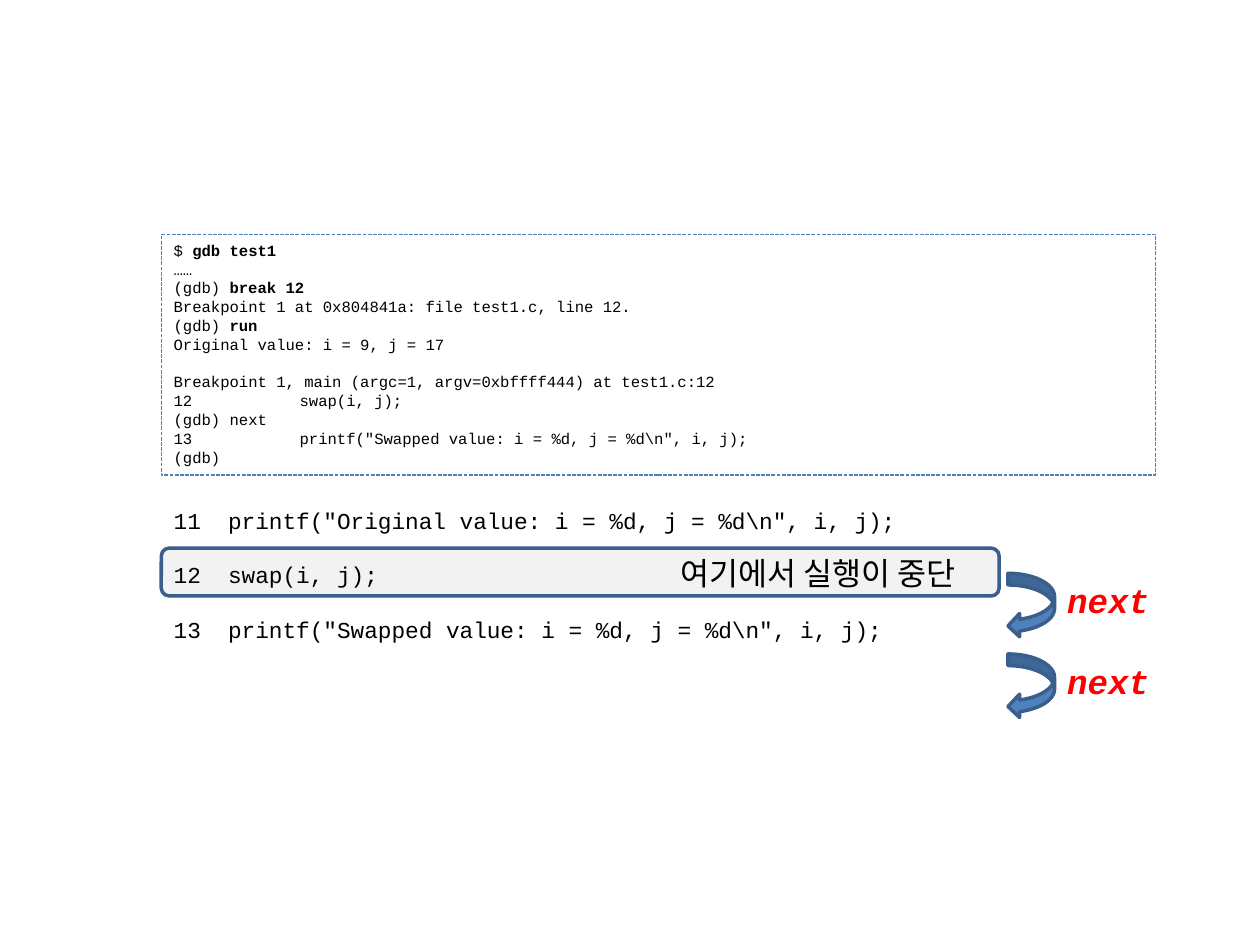
from lxml import etree
from pptx import Presentation
from pptx.dml.color import RGBColor
from pptx.enum import dml, shapes, text
from pptx.oxml.ns import qn
from pptx.util import Inches, Pt

BLACK = RGBColor(0x00, 0x00, 0x00)
RED = RGBColor(0xFF, 0x00, 0x00)
BLUE = RGBColor(0x4F, 0x81, 0xBD)
DARK_BLUE = RGBColor(0x3A, 0x5F, 0x8C)
LIGHT_GRAY = RGBColor(0xF2, 0xF2, 0xF2)
MONO = "Courier New"
KOREAN = "Noto Sans CJK KR"

prs = Presentation()
prs.slide_width, prs.slide_height = Inches(10), Inches(7.5)
slide = prs.slides.add_slide(prs.slide_layouts[6])


def add_box(kind, left, top, width, height, fill, line, weight):
    box = slide.shapes.add_shape(
        kind, Inches(left), Inches(top), Inches(width), Inches(height))
    box.shadow.inherit = False
    if fill is None:
        box.fill.background()
    else:
        box.fill.solid()
        box.fill.fore_color.rgb = fill
    box.line.color.rgb = line
    box.line.width = Pt(weight)
    return box


def write_lines(box, lines, size, pitch=None, color=BLACK, font=MONO, italic=False):
    """Write lines of (text, bold) runs; an empty line becomes space before the next."""
    frame = box.text_frame
    frame.word_wrap = True
    frame.vertical_anchor = text.MSO_ANCHOR.TOP
    paragraph, gap = None, 0
    for line in lines:
        if not line:
            gap += pitch
            continue
        paragraph = frame.add_paragraph() if paragraph else frame.paragraphs[0]
        paragraph.alignment = text.PP_ALIGN.LEFT
        paragraph.space_before = Pt(gap)
        if pitch:
            paragraph.line_spacing = Pt(pitch)
        gap = 0
        for words, bold in line:
            run = paragraph.add_run()
            run.text = words
            run.font.name = font
            run.font.size = Pt(size)
            run.font.bold = bold
            run.font.italic = italic
            run.font.color.rgb = color
            east_asian = etree.SubElement(run.font._element, qn("a:ea"))
            east_asian.set("typeface", font)


add_box(shapes.MSO_SHAPE.ROUNDED_RECTANGLE, 1.28, 4.35, 6.65, 0.38,
        LIGHT_GRAY, DARK_BLUE, 2)

console = add_box(shapes.MSO_SHAPE.RECTANGLE, 1.28, 1.86, 7.89, 1.91, None, BLUE, 0.75)
console.line.dash_style = dml.MSO_LINE.SQUARE_DOT
console.line.dash_style = dml.MSO_LINE.SQUARE_DOT
session = [
    [("$ ", False), ("gdb test1", True)],
    [("……", False)],
    [("(gdb) ", False), ("break 12", True)],
    [("Breakpoint 1 at 0x804841a: file test1.c, line 12.", False)],
    [("(gdb) ", False), ("run", True)],
    [("Original value: i = 9, j = 17", False)],
    [],
    [("Breakpoint 1, main (argc=1, argv=0xbffff444) at test1.c:12", False)],
    [("12\t\tswap(i, j);", False)],
    [("(gdb) next", False)],
    [("13\t\tprintf(\"Swapped value: i = %d, j = %d\\n\", i, j);", False)],
    [("(gdb)", False)],
]
write_lines(console, session, 8.9, 10.75)

source_code = slide.shapes.add_textbox(
    Inches(1.28), Inches(3.97), Inches(7.89), Inches(1.19))
write_lines(source_code, [
    [("11  printf(\"Original value: i = %d, j = %d\\n\", i, j);", False)],
    [],
    [("12  swap(i, j);", False)],
    [],
    [("13  printf(\"Swapped value: i = %d, j = %d\\n\", i, j);", False)],
], 13, 15.6)

for step_top in (4.55, 5.19):
    add_box(shapes.MSO_SHAPE.CURVED_LEFT_ARROW, 8, step_top, 0.37, 0.51,
            BLUE, DARK_BLUE, 2)
    step_label = slide.shapes.add_textbox(
        Inches(8.37), Inches(step_top), Inches(0.95), Inches(0.43))
    write_lines(step_label, [[("next", True)]], 19.5, color=RED, italic=True)

stop_note = slide.shapes.add_textbox(
    Inches(5.3), Inches(4.35), Inches(2.78), Inches(0.4))
write_lines(stop_note, [[("여기에서 실행이 중단", False)]], 18, font=KOREAN)

prs.save("out.pptx")
